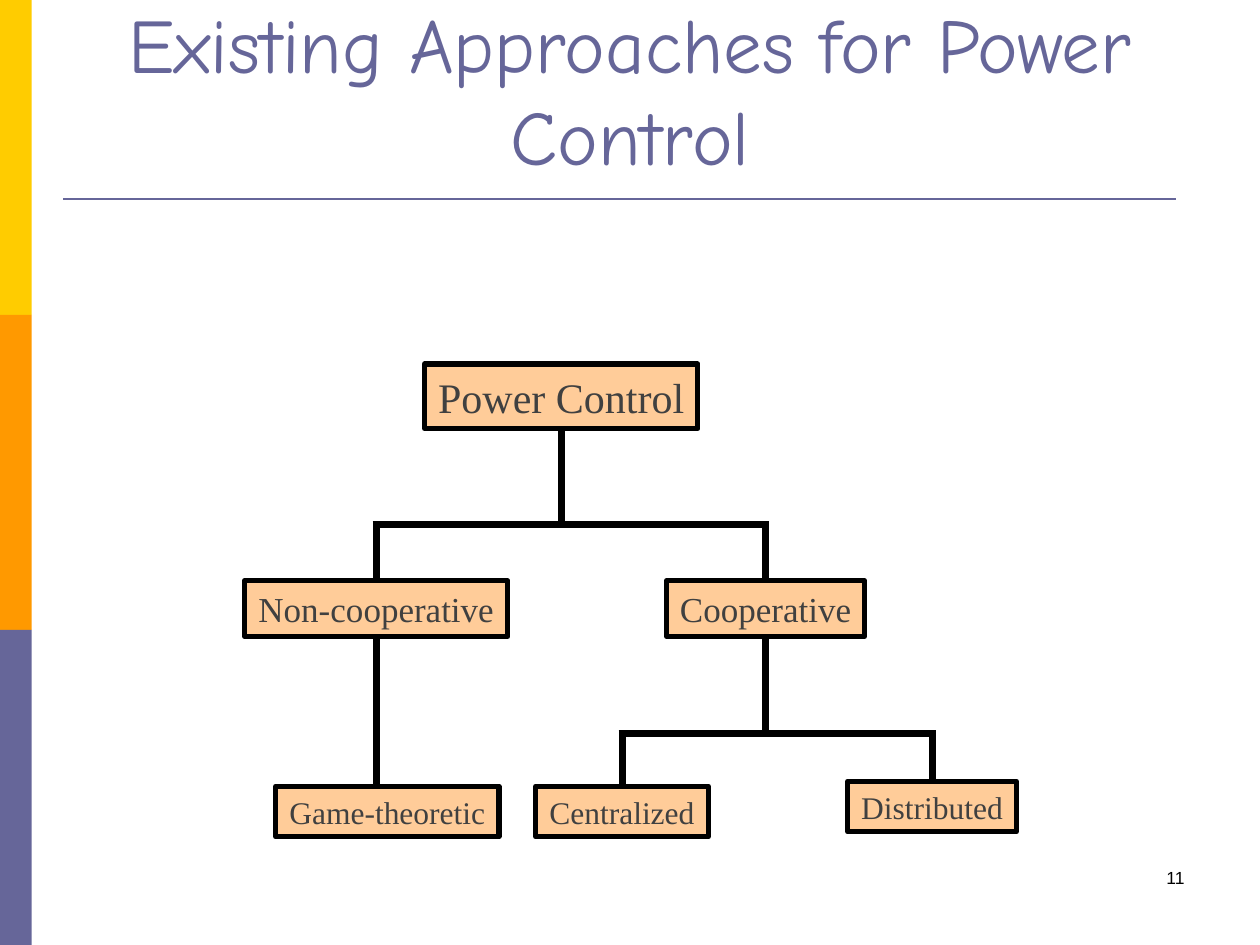
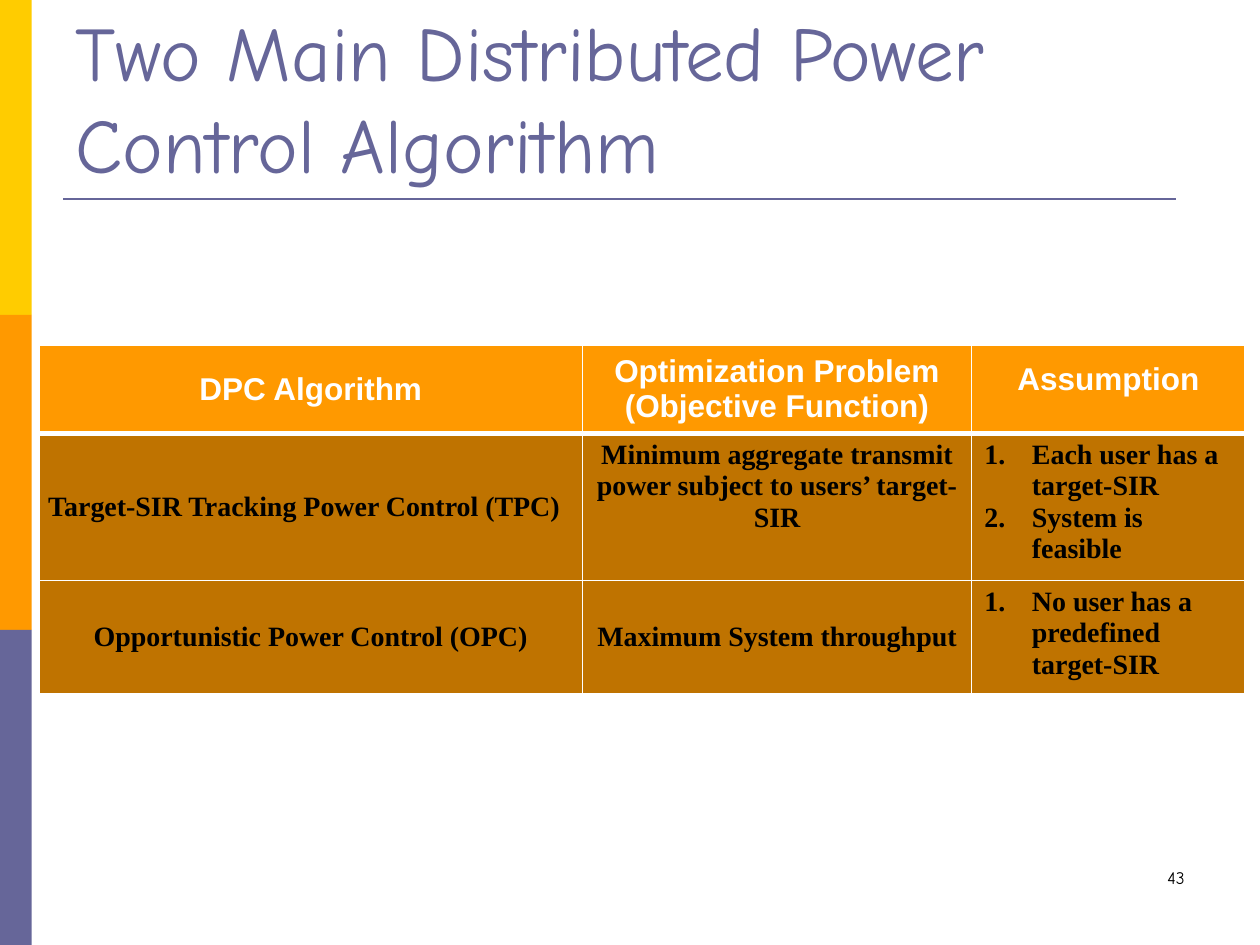
import dataclasses

import lxml.etree
import pptx
import pptx.dml.color
import pptx.enum.shapes
import pptx.enum.text
import pptx.oxml
import pptx.oxml.ns
import pptx.util

Cm = pptx.util.Cm
Pt = pptx.util.Pt
Align = pptx.enum.text.PP_ALIGN
Anchor = pptx.enum.text.MSO_ANCHOR
AutoSize = pptx.enum.text.MSO_AUTO_SIZE
qn = pptx.oxml.ns.qn

TOP, BOTTOM = 0, 2


@dataclasses.dataclass(frozen=True)
class Theme:
    yellow: str = "FFCC00"
    orange: str = "FF9900"
    violet: str = "666699"
    peach: str = "FFCC99"
    brown: str = "BF7300"
    white: str = "FFFFFF"
    black: str = "000000"
    charcoal: str = "404040"
    title_font: str = "Comic Neue"
    body_font: str = "Times New Roman"
    label_font: str = "Arial"
    title_size: int = 44
    root_size: int = 24
    branch_size: int = 20
    leaf_size: int = 18
    header_size: int = 18
    cell_size: int = 16
    number_size: int = 10
    rule_width: float = 1.5
    box_line: int = 3
    tree_line: int = 4
    grid_line: int = 1
    header_line: int = 3


def rgb(value):
    return pptx.dml.color.RGBColor.from_string(value)


def apply(target, formats):
    for name, value in formats.items():
        setattr(target, name, value)


class Deck:
    def __init__(self, theme):
        self.theme = theme
        self.presentation = pptx.Presentation()
        apply(self.presentation, {"slide_width": Cm(25.4), "slide_height": Cm(19.05)})
        self.slide = None

    def start_slide(self, heading, top, anchor, align, number, number_font):
        theme = self.theme
        layout = self.presentation.slide_layouts[5]
        self.slide = self.presentation.slides.add_slide(layout)
        band_height = 6.35
        for row, color in enumerate((theme.yellow, theme.orange, theme.violet)):
            self.rectangle(0, row * band_height, 0.64, band_height, color)
        self.line((1.27, 4.01), (23.7, 4.01), theme.violet, theme.rule_width)

        title = self.slide.shapes.title
        apply(title, {"left": Cm(1.27), "top": Cm(top), "width": Cm(22.86), "height": Cm(3.18)})
        apply(title.text_frame, {
            "auto_size": AutoSize.NONE, "word_wrap": True, "vertical_anchor": anchor,
        })
        self.add_text(title.text_frame.paragraphs[0], heading, theme.title_font,
                      theme.title_size, theme.violet, align)

        page = self.slide.shapes.add_textbox(Cm(18.21), Cm(17.35), Cm(5.92), Cm(1.27))
        page.text_frame.word_wrap = True
        self.add_text(page.text_frame.paragraphs[0], number, number_font,
                      theme.number_size, theme.black, Align.RIGHT)

    def add_text(self, paragraph, text, font, size, color, align, bold=False):
        run = paragraph.add_run()
        run.text = text
        paragraph.alignment = align
        apply(run.font, {"name": font, "size": Pt(size), "bold": bold})
        run.font.color.rgb = rgb(color)

    def rectangle(self, left, top, width, height, color):
        shape = self.slide.shapes.add_shape(
            pptx.enum.shapes.MSO_SHAPE.RECTANGLE, Cm(left), Cm(top), Cm(width), Cm(height))
        shape.shadow.inherit = False
        shape.fill.solid()
        shape.fill.fore_color.rgb = rgb(color)
        shape.line.fill.background()
        return shape

    def node(self, text, left, top, width, height, size):
        theme = self.theme
        box = self.rectangle(left, top, width, height, theme.peach)
        box.line.color.rgb = rgb(theme.black)
        box.line.width = Pt(theme.box_line)
        apply(box.text_frame, {"word_wrap": False, "vertical_anchor": Anchor.MIDDLE})
        self.add_text(box.text_frame.paragraphs[0], text, theme.body_font, size,
                      theme.charcoal, Align.CENTER)
        return box

    def line(self, start, end, color, width):
        connector = self.slide.shapes.add_connector(
            pptx.enum.shapes.MSO_CONNECTOR.STRAIGHT, *map(Cm, start + end))
        connector.line.color.rgb = rgb(color)
        connector.line.width = Pt(width)
        lxml.etree.SubElement(connector._element.spPr, qn("a:effectLst"))
        return connector

    def branch(self, start, end):
        return self.line(start, end, self.theme.black, self.theme.tree_line)

    def fork(self, parent, bar_y, children):
        stem_x = self.center(parent)
        stem = self.branch((stem_x, bar_y), (stem_x, bar_y))
        stem.begin_connect(parent, BOTTOM)
        centers = [self.center(child) for child in children]
        overhang = Pt(self.theme.tree_line).cm / 2
        self.branch((min(centers) - overhang, bar_y), (max(centers) + overhang, bar_y))
        for child, x in zip(children, centers):
            drop = self.branch((x, bar_y), (x, bar_y))
            drop.end_connect(child, TOP)

    def center(self, box):
        return (box.left + box.width / 2) / Cm(1)

    def table(self, left, top, widths, heights, rows):
        frame = self.slide.shapes.add_table(
            len(rows), len(widths), Cm(left), Cm(top), Cm(sum(widths)), Cm(sum(heights)))
        grid = frame.table
        grid.horz_banding = False
        for column, width in zip(grid.columns, widths):
            column.width = Cm(width)
        for row, height in zip(grid.rows, heights):
            row.height = Cm(height)
        for row_index, row in enumerate(rows):
            for column_index, (content, formats) in enumerate(row):
                self.cell(grid.cell(row_index, column_index), content, formats, row_index)

    def cell(self, cell, content, formats, row_index):
        theme = self.theme
        header = row_index == 0
        self.borders(cell, row_index)
        cell.fill.solid()
        cell.fill.fore_color.rgb = rgb(theme.orange if header else theme.brown)
        apply(cell, {"vertical_anchor": Anchor.MIDDLE, **formats})
        numbered = isinstance(content, list)
        font, size, color = (
            (theme.label_font, theme.header_size, theme.white) if header
            else (theme.body_font, theme.cell_size, theme.black))
        align = Align.LEFT if numbered or "margin_left" in formats else Align.CENTER
        for index, text in enumerate(content if numbered else [content]):
            frame = cell.text_frame
            paragraph = frame.add_paragraph() if index else frame.paragraphs[0]
            self.add_text(paragraph, text, font, size, color, align, bold=True)
            if numbered:
                self.number(paragraph)

    def number(self, paragraph):
        properties = paragraph._p.get_or_add_pPr()
        for name, value in {"marL": Cm(0.96), "indent": Cm(-0.96)}.items():
            properties.set(name, str(int(value)))
        lxml.etree.SubElement(properties, qn("a:buFont"), typeface="+mj-lt")
        lxml.etree.SubElement(properties, qn("a:buAutoNum"), type="arabicPeriod")

    def borders(self, cell, row_index):
        theme = self.theme
        thick_side = {0: "B", 1: "T"}.get(row_index)
        properties = cell._tc.get_or_add_tcPr()
        for side in "LRTB":
            width = theme.header_line if side == thick_side else theme.grid_line
            edge = lxml.etree.SubElement(properties, qn(f"a:ln{side}"), w=str(int(Pt(width))))
            fill = lxml.etree.SubElement(edge, qn("a:solidFill"))
            lxml.etree.SubElement(fill, qn("a:srgbClr"), val=theme.white)


def build_approaches(deck):
    theme = deck.theme
    deck.start_slide("Existing Approaches for Power Control", 0.2, Anchor.MIDDLE,
                     Align.CENTER, "11", theme.label_font)
    power_control = deck.node("Power Control", 8.56, 7.34, 5.51, 1.3, theme.root_size)
    branch_row = {"top": 11.71, "height": 1.12, "size": theme.branch_size}
    non_cooperative = deck.node("Non-cooperative", left=4.93, width=5.31, **branch_row)
    cooperative = deck.node("Cooperative", left=13.44, width=3.99, **branch_row)
    leaf_row = {"height": 1.02, "size": theme.leaf_size}
    deck.node("Game-theoretic", left=5.56, top=15.85, width=4.5, **leaf_row)
    centralized = deck.node("Centralized", left=10.8, top=15.85, width=3.48, **leaf_row)
    distributed = deck.node("Distributed", left=17.09, top=15.75, width=3.4, **leaf_row)

    deck.fork(power_control, 10.57, [non_cooperative, cooperative])
    deck.fork(cooperative, 14.78, [centralized, distributed])
    game_x = deck.center(non_cooperative)
    game_link = deck.branch((game_x, 12.83), (game_x, 15.85))
    game_link.begin_connect(non_cooperative, BOTTOM)


def build_algorithms(deck):
    deck.start_slide("Two Main Distributed Power Control Algorithm", 0.76, Anchor.BOTTOM,
                     Align.LEFT, "43", deck.theme.title_font)
    upper = {"vertical_anchor": Anchor.TOP}
    tight = {"margin_left": Cm(0.18), "margin_right": Cm(0.18)}
    deck.table(0.79, 6.96, [10.95, 7.85, 5.51], [1.7, 2.74, 2.26], [
        [
            ("DPC Algorithm", {}),
            ("Optimization Problem (Objective Function)", {}),
            ("Assumption", {**upper, "margin_top": Cm(0.33)}),
        ],
        [
            ("Target-SIR Tracking Power Control (TPC)", tight),
            ("Minimum aggregate transmit power subject to users’ target-SIR", upper),
            (["Each user has a target-SIR", "System is feasible"], upper),
        ],
        [
            ("Opportunistic Power Control (OPC)", {}),
            ("Maximum System throughput", {}),
            (["No user has a predefined target-SIR"], upper),
        ],
    ])


def main():
    deck = Deck(Theme())
    build_approaches(deck)
    build_algorithms(deck)
    deck.presentation.save("out.pptx")


if __name__ == "__main__":
    main()
